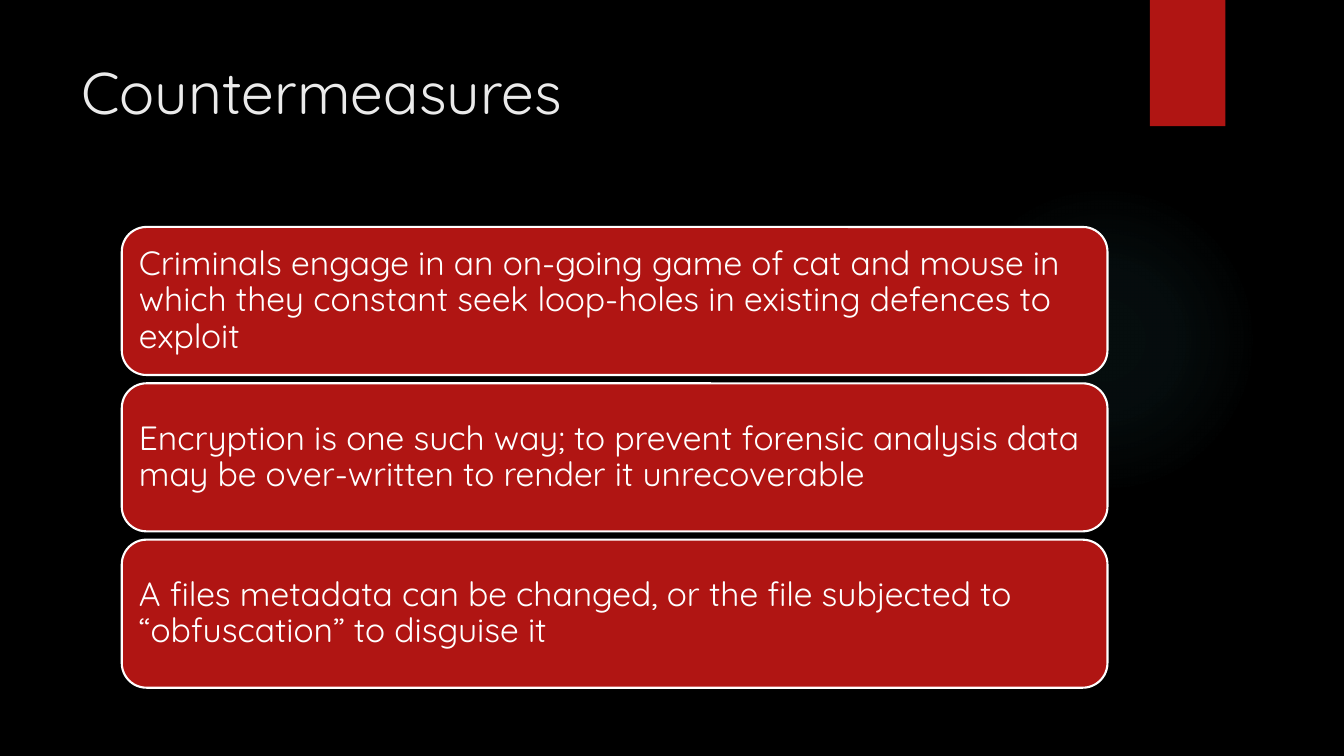
import pptx
import pptx.dml.color
import pptx.enum.shapes
import pptx.enum.text
import pptx.oxml
import pptx.oxml.ns
import pptx.util

Cm = pptx.util.Cm
Pt = pptx.util.Pt
Shape = pptx.enum.shapes.MSO_SHAPE
Anchor = pptx.enum.text.MSO_ANCHOR

FONT = "Quicksand"
RED = "B01513"
WHITE = "FFFFFF"
COUNTERMEASURES = [
    "Criminals engage in an on-going game of cat and mouse in which they "
    "constant seek loop-holes in existing defences to exploit",
    "Encryption is one such way; to prevent forensic analysis data may be "
    "over-written to render it unrecoverable",
    "A files metadata can be changed, or the file subjected to "
    "“obfuscation” to disguise it",
]


def colour(hex_text):
    """Turn a hex string into a colour."""
    return pptx.dml.color.RGBColor.from_string(hex_text)


def add_box(page, kind, left, top, width, height, fill):
    """Add a filled shape without line or shadow, measured in centimetres."""
    box = page.shapes.add_shape(kind, Cm(left), Cm(top), Cm(width), Cm(height))
    box.shadow.inherit = False
    box.fill.solid()
    box.fill.fore_color.rgb = colour(fill)
    box.line.fill.background()
    return box


def add_glow(page, left, top, size, tint, stops):
    """Add a circle whose tint fades outwards through (position, alpha) stops."""
    box = add_box(page, Shape.OVAL, left, top, size, size, tint)
    stop_xml = "".join(
        f'<a:gs pos="{position * 1000}"><a:srgbClr val="{tint}">'
        f'<a:alpha val="{alpha * 1000}"/></a:srgbClr></a:gs>'
        for position, alpha in stops
    )
    gradient = pptx.oxml.parse_xml(
        f'<a:gradFill {pptx.oxml.ns.nsdecls("a")}><a:gsLst>{stop_xml}</a:gsLst>'
        '<a:path path="circle"><a:fillToRect l="50000" t="50000" r="50000" '
        'b="50000"/></a:path></a:gradFill>'
    )
    properties = box.element.spPr
    properties.replace(properties.find(pptx.oxml.ns.qn("a:solidFill")), gradient)


def write(box, text, size, text_colour, anchor, spacing=1.0):
    """Write one left-aligned paragraph into a shape."""
    frame = box.text_frame
    frame.word_wrap = True
    frame.vertical_anchor = anchor
    para = frame.paragraphs[0]
    para.alignment = pptx.enum.text.PP_ALIGN.LEFT
    para.line_spacing = spacing
    span = para.add_run()
    span.text = text
    span.font.name = FONT
    span.font.size = Pt(size)
    span.font.color.rgb = colour(text_colour)


def add_title(page, text):
    """Add the slide heading."""
    box = page.shapes.add_textbox(Cm(1.8), Cm(1.27), Cm(26.14), Cm(3.89))
    write(box, text, 42, "EBEBEB", Anchor.TOP)


def add_card(page, top, text):
    """Add a rounded, outlined card holding one statement."""
    box = add_box(page, Shape.ROUNDED_RECTANGLE, 3.07, top, 24.84, 3.73, RED)
    box.line.color.rgb = colour(WHITE)
    box.line.width = Pt(1.5)
    frame = box.text_frame
    frame.margin_left = frame.margin_right = Cm(0.25)
    frame.margin_top = frame.margin_bottom = Cm(0.25)
    write(box, text, 24, WHITE, Anchor.MIDDLE, 0.9)


def main():
    """Build the slide and save the deck."""
    deck = pptx.Presentation()
    deck.slide_width = Cm(33.87)
    deck.slide_height = Cm(19.05)
    page = deck.slides.add_slide(deck.slide_layouts[6])
    page.background.fill.solid()
    page.background.fill.fore_color.rgb = colour("000000")

    add_glow(page, 23.9, 4.65, 7.82, "50B9C1", [(0, 7), (36, 6), (69, 0)])
    add_box(page, Shape.RECTANGLE, 28.98, 0, 1.9, 3.18, RED)
    add_title(page, "Countermeasures")
    for row, text in enumerate(COUNTERMEASURES):
        add_card(page, 5.72 + row * 3.94, text)

    deck.save("out.pptx")


if __name__ == "__main__":
    main()
